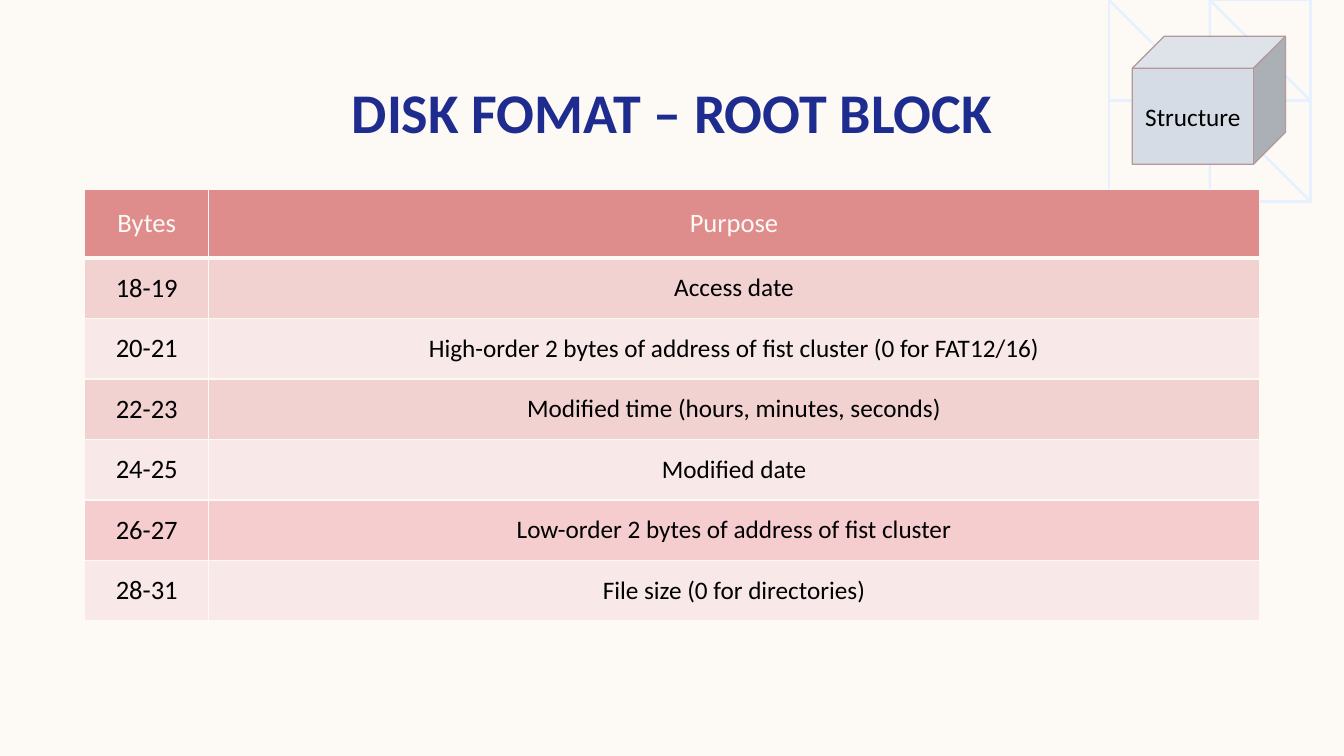
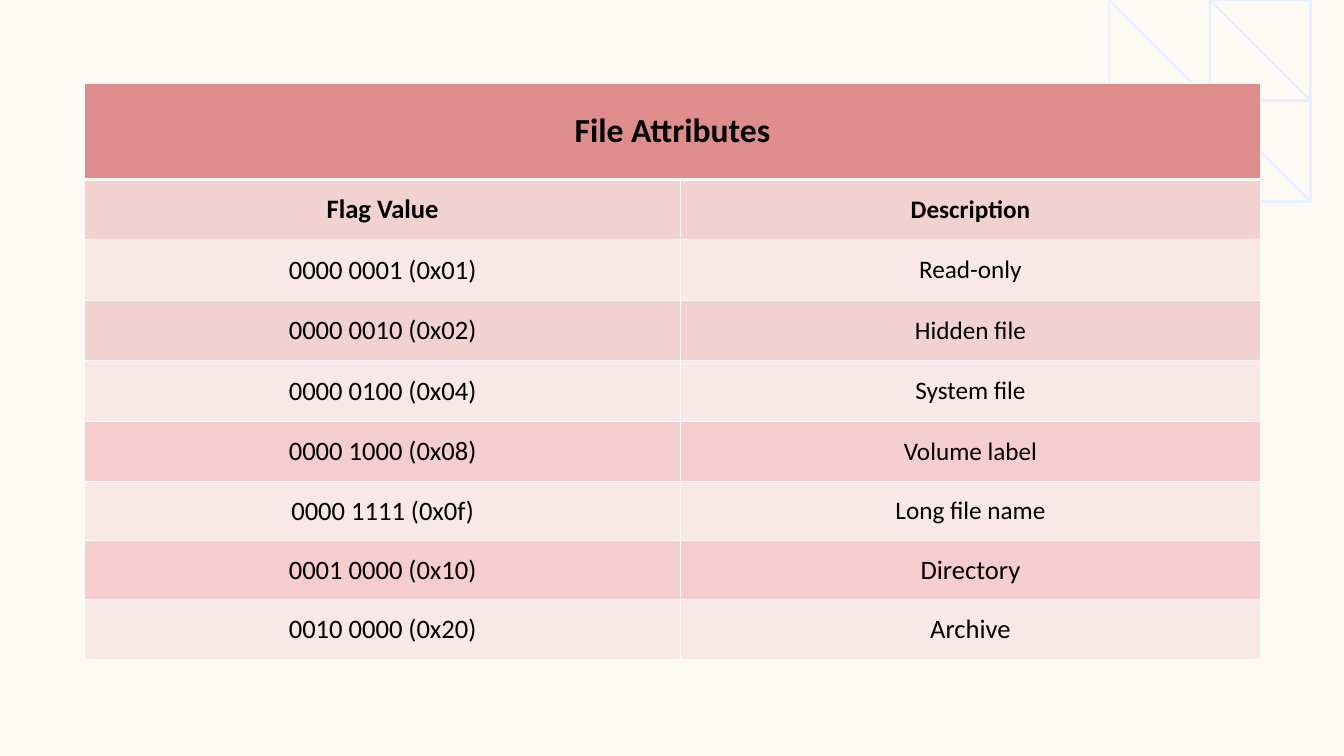
from math import acos, asin, cos, sin

from lxml.etree import SubElement
from pptx import Presentation
from pptx.dml.color import RGBColor
from pptx.enum.shapes import MSO_SHAPE
from pptx.enum.text import MSO_ANCHOR, PP_ALIGN
from pptx.oxml.ns import qn
from pptx.util import Inches, Pt

FONT = "Calibri"
CREAM, NAVY, BLACK = "FDFAF6", "1F2C8F", "000000"
RING, CUBE, CUBE_LINE = "E6F0FE", "D6DCE5", "B59898"
HEADER, BAND, PALE, ACCENT = "DE8C8C", "F2D1D1", "F8E8E8", "F5CDCE"
WIDTH, HEIGHT = 13.33, 7.5
TABLE_LEFT = 0.84


def rgb(value):
    """Return the colour for a hex string."""
    return RGBColor.from_string(value)


def put_text(tf, text, size=18, color=BLACK, bold=False, anchor=MSO_ANCHOR.MIDDLE):
    """Write one centred, formatted paragraph into a text frame."""
    tf.word_wrap = True
    tf.vertical_anchor = anchor
    p = tf.paragraphs[0]
    p.alignment = PP_ALIGN.CENTER
    r = p.add_run()
    r.text = text
    r.font.name = FONT
    r.font.size = Pt(size)
    r.font.bold = bold
    r.font.color.rgb = rgb(color)


def ring_points(cx, cy, radius, steps):
    """List points on an arc from the top slide edge to the right one."""
    start, end = asin(-cy / radius), acos((cx - WIDTH) / radius)
    angles = [start + (end - start) * i / steps for i in range(steps + 1)]
    return [(cx - radius * cos(a), cy + radius * sin(a)) for a in angles]


def add_rings(s, cx=13.36, cy=-0.19, first=0.34, last=2.56, count=17):
    """Draw the concentric corner rings as one stroked freeform."""
    pitch = (last - first) / (count - 1)
    arcs = [ring_points(cx, cy, first + i * pitch, 4 + i // 3) for i in range(count)]
    fb = s.shapes.build_freeform(*arcs[0][0], scale=Inches(1))
    for i, points in enumerate(arcs):
        if i:
            fb.move_to(*points[0])
        fb.add_line_segments(points[1:], close=False)
    sp = fb.convert_to_shape()
    sp.shadow.inherit = False
    sp.fill.background()
    sp.line.color.rgb = rgb(RING)
    sp.line.width = Pt(1.8)


def add_slide(prs):
    """Add a blank slide with the shared corner rings."""
    s = prs.slides.add_slide(prs.slide_layouts[6])
    add_rings(s)
    return s


def add_title(s, text):
    """Add the slide title."""
    box = s.shapes.add_textbox(Inches(0.83), Inches(0.68), Inches(11.67), Inches(0.84))
    put_text(box.text_frame, text, size=40, color=NAVY, bold=True)


def add_cube(s, text):
    """Add the labelled cube in the top right corner."""
    sp = s.shapes.add_shape(MSO_SHAPE.CUBE, Inches(11.23), Inches(0.36), Inches(1.52), Inches(1.27))
    sp.shadow.inherit = False
    sp.fill.solid()
    sp.fill.fore_color.rgb = rgb(CUBE)
    sp.line.color.rgb = rgb(CUBE_LINE)
    sp.line.width = Pt(1)
    put_text(sp.text_frame, text)


def set_borders(cell, top=1, bottom=1):
    """Draw the four borders of a cell, widths in points."""
    tc_pr = cell._tc.get_or_add_tcPr()
    for side, width in (("L", 1), ("R", 1), ("T", top), ("B", bottom)):
        ln = SubElement(tc_pr, qn("a:ln" + side), w=str(Pt(width)))
        fill = SubElement(ln, qn("a:solidFill"))
        SubElement(fill, qn("a:srgbClr"), val=CREAM)


def add_table(s, top, widths, heights, fills, rows, formats):
    """Add a banded table; formats maps a row number to text options."""
    shape = s.shapes.add_table(len(rows), len(widths), Inches(TABLE_LEFT), Inches(top),
                               Inches(sum(widths)), Inches(sum(heights)))
    table = shape.table
    table.first_row = table.horz_banding = False
    for col, width in zip(table.columns, widths):
        col.width = Inches(width)
    for i, (height, fill, texts) in enumerate(zip(heights, fills, rows)):
        table.rows[i].height = Inches(height)
        for j, cell in enumerate(table.rows[i].cells):
            set_borders(cell, top=3 if i == 1 else 1, bottom=3 if i == 0 else 1)
            cell.fill.solid()
            cell.fill.fore_color.rgb = rgb(fill)
            cell.vertical_anchor = MSO_ANCHOR.MIDDLE
            if j < len(texts):
                options = {"size": 18 if j else 19, **formats.get(i, {})}
                put_text(cell.text_frame, texts[j], **options)
        if len(texts) < len(widths):
            table.cell(i, 0).merge(table.cell(i, len(widths) - 1))


def root_block_slide(prs):
    """Build the slide on the root block bytes."""
    s = add_slide(prs)
    add_title(s, "DISK FOMAT – ROOT BLOCK")
    rows = [
        ("Bytes", "Purpose"),
        ("18-19", "Access date"),
        ("20-21", "High-order 2 bytes of address of fist cluster (0 for FAT12/16)"),
        ("22-23", "Modified time (hours, minutes, seconds)"),
        ("24-25", "Modified date"),
        ("26-27", "Low-order 2 bytes of address of fist cluster"),
        ("28-31", "File size (0 for directories)"),
    ]
    add_table(s, 1.88, [1.23, 10.42], [0.68] + [0.6] * 6,
              [HEADER, BAND, PALE, BAND, PALE, ACCENT, PALE], rows,
              {0: {"size": 19, "color": CREAM}})
    add_cube(s, "Structure")


def file_attributes_slide(prs):
    """Build the slide on the file attribute flags."""
    s = add_slide(prs)
    rows = [
        ("File Attributes",),
        ("Flag Value", "Description"),
        ("0000 0001 (0x01)", "Read-only"),
        ("0000 0010 (0x02)", "Hidden file"),
        ("0000 0100 (0x04)", "System file"),
        ("0000 1000 (0x08)", "Volume label"),
        ("0000 1111 (0x0f)", "Long file name"),
        ("0001 0000 (0x10)", "Directory"),
        ("0010 0000 (0x20)", "Archive"),
    ]
    add_table(s, 0.83, [5.91, 5.75], [0.95] + [0.6] * 5 + [0.58] + [0.59] * 2,
              [HEADER, BAND, PALE, BAND, PALE, ACCENT, PALE, ACCENT, PALE], rows,
              {0: {"size": 24, "bold": True}, 1: {"bold": True},
               7: {"size": 19}, 8: {"size": 19}})


def main():
    """Build and save the presentation."""
    prs = Presentation()
    prs.slide_width, prs.slide_height = Inches(WIDTH), Inches(HEIGHT)
    background = prs.slide_master.background.fill
    background.solid()
    background.fore_color.rgb = rgb(CREAM)
    root_block_slide(prs)
    file_attributes_slide(prs)
    prs.save("out.pptx")


if __name__ == "__main__":
    main()
